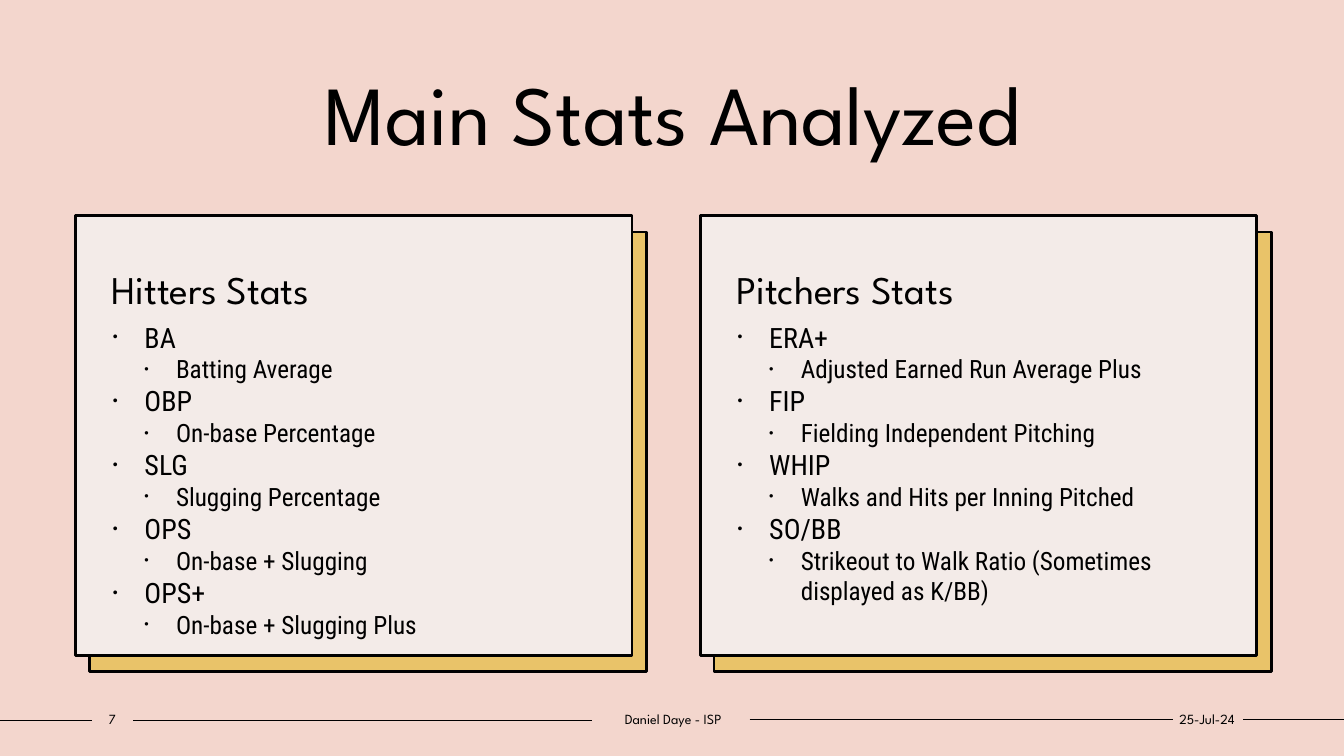
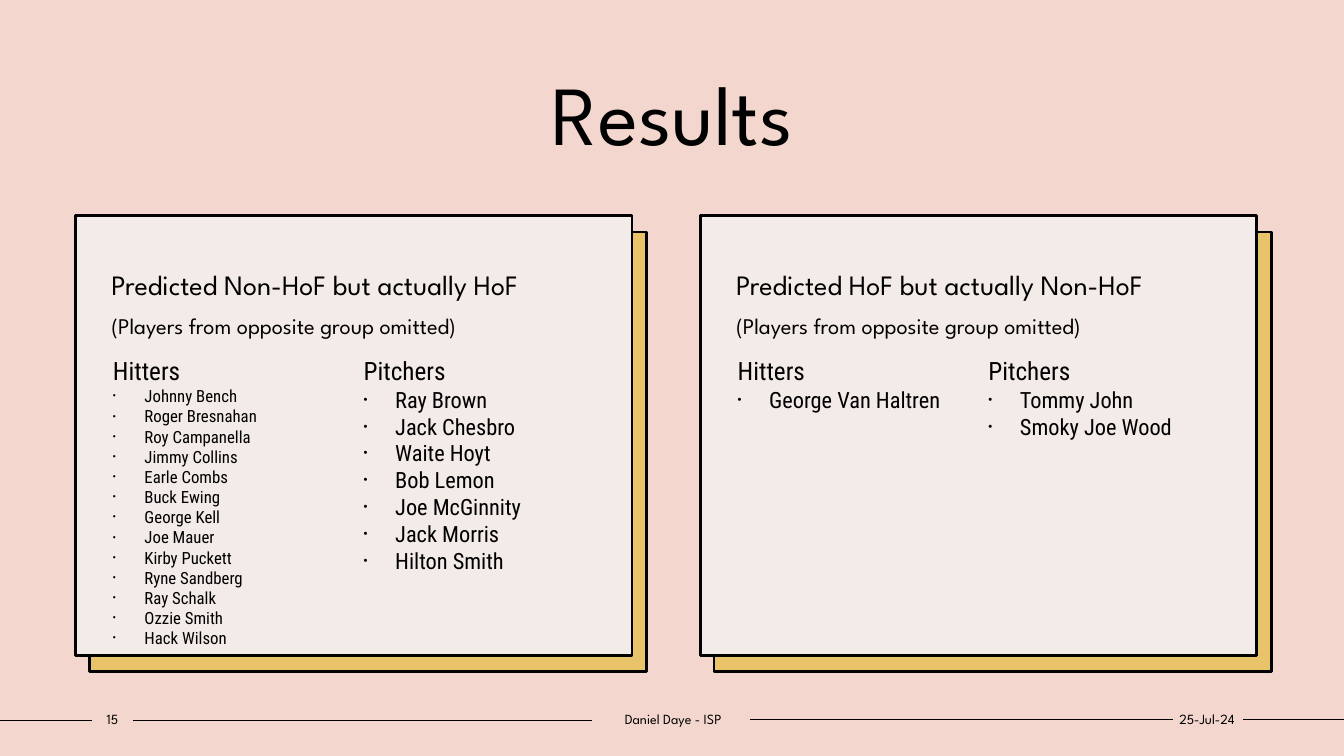
from dataclasses import dataclass

from lxml.etree import SubElement
from pptx import Presentation
from pptx.dml.color import RGBColor
from pptx.enum.shapes import MSO_CONNECTOR as Connector, MSO_SHAPE as Preset
from pptx.enum.text import MSO_ANCHOR as Anchor, MSO_AUTO_SIZE as AutoSize, PP_ALIGN as Align
from pptx.oxml.ns import qn
from pptx.util import Emu, Pt

EMU_PER_PX = 9525
COLOURS = {"background": "F3D6CD", "card": "F3EBE8", "shadow": "E9C369", "ink": "000000"}
DISPLAY, TEXT = "League Spartan", "Roboto Condensed"
COMPARISON_LAYOUT = 4
PANEL_STEP = 595
COLUMN_STEP = 239
LIST_INDENT = 30
SUBHEADING_HEIGHT = 34
COLUMN_HEADING = -1


@dataclass(frozen=True)
class Box:
    left: int
    top: int
    width: int
    height: int

    def moved(self, dx: int = 0, dy: int = 0) -> "Box":
        return Box(self.left + dx, self.top + dy, self.width, self.height)

    def emu(self) -> tuple[Emu, ...]:
        return tuple(px(n) for n in (self.left, self.top, self.width, self.height))


@dataclass(frozen=True)
class Line:
    """A line of text; depth is its bullet level, or COLUMN_HEADING for no bullet."""
    text: str
    size: int
    depth: int = COLUMN_HEADING


@dataclass(frozen=True)
class Panel:
    headings: list[Line]
    columns: list[list[Line]]


@dataclass(frozen=True)
class Page:
    number: int
    title: str
    panels: list[Panel]


TITLE = Box(120, 54, 1041, 107)
CARD = Box(72, 205, 530, 419)
SHADOW = Box(85, 221, 531, 419)
FIRST_LIST = Box(98, 300, 484, 301)
PAGE_NUMBER = Box(88, 672, 38, 26)
AUTHOR = Box(564, 672, 154, 26)
DATE = Box(1116, 672, 67, 26)
FOOTER_RULES = [(0, 88, 686), (127, 564, 686), (714, 1117, 685), (1184, 1280, 685)]


def px(length: int) -> Emu:
    return Emu(length * EMU_PER_PX)


def colour(name: str) -> RGBColor:
    return RGBColor.from_string(COLOURS[name])


def stats(*pairs: tuple[str, str]) -> list[Line]:
    return [line for short, full in pairs for line in (Line(short, 20, 0), Line(full, 18, 1))]


def roster(role: str, size: int, *players: str) -> list[Line]:
    return [Line(role, 18), *(Line(player, size, 0) for player in players)]


def group(heading: str, *columns: list[Line]) -> Panel:
    note = Line("(Players from opposite group omitted)", 16)
    return Panel([Line(heading, 20), note], list(columns))


PAGES = [
    Page(7, "Main Stats Analyzed", [
        Panel([Line("Hitters Stats", 28)], [stats(
            ("BA", "Batting Average"),
            ("OBP", "On-base Percentage"),
            ("SLG", "Slugging Percentage"),
            ("OPS", "On-base + Slugging"),
            ("OPS+", "On-base + Slugging Plus"),
        )]),
        Panel([Line("Pitchers Stats", 28)], [stats(
            ("ERA+", "Adjusted Earned Run Average Plus"),
            ("FIP", "Fielding Independent Pitching"),
            ("WHIP", "Walks and Hits per Inning Pitched"),
            ("SO/BB", "Strikeout to Walk Ratio (Sometimes displayed as K/BB)"),
        )]),
    ]),
    Page(15, "Results", [
        group(
            "Predicted Non-HoF but actually HoF",
            roster("Hitters", 12, "Johnny Bench", "Roger Bresnahan", "Roy Campanella",
                   "Jimmy Collins", "Earle Combs", "Buck Ewing", "George Kell", "Joe Mauer",
                   "Kirby Puckett", "Ryne Sandberg", "Ray Schalk", "Ozzie Smith", "Hack Wilson"),
            roster("Pitchers", 16, "Ray Brown", "Jack Chesbro", "Waite Hoyt", "Bob Lemon",
                   "Joe McGinnity", "Jack Morris", "Hilton Smith"),
        ),
        group(
            "Predicted HoF but actually Non-HoF",
            roster("Hitters", 16, "George Van Haltren"),
            roster("Pitchers", 16, "Tommy John", "Smoky Joe Wood"),
        ),
    ]),
]


def place(shape, box: Box) -> None:
    shape.left, shape.top, shape.width, shape.height = box.emu()


def paint(shape, fill: str) -> None:
    shape.fill.solid()
    shape.fill.fore_color.rgb = colour(fill)
    shape.line.color.rgb = colour("ink")
    shape.line.width = Pt(2)


def set_bullet(paragraph, depth: int) -> None:
    properties = paragraph._p.get_or_add_pPr()
    if depth == COLUMN_HEADING:
        properties.set("marL", "0")
        properties.set("indent", "0")
        SubElement(properties, qn("a:buNone"))
        return
    paragraph.level = depth
    properties.set("marL", str(px(LIST_INDENT * (depth + 1))))
    properties.set("indent", str(px(-LIST_INDENT)))
    SubElement(properties, qn("a:buSzPct"), val="50000")
    SubElement(properties, qn("a:buFont"), typeface="Arial")
    SubElement(properties, qn("a:buChar"), char="•")


def write(shape, lines: list[Line], font: str, align=Align.LEFT, anchor=Anchor.TOP,
          spacing: float = 1.0, gap: int = 0) -> None:
    """Fill a shape with lines, leaving gap points between them."""
    frame = shape.text_frame
    frame.word_wrap = True
    frame.auto_size = AutoSize.NONE
    frame.vertical_anchor = anchor
    for index, line in enumerate(lines):
        paragraph = frame.add_paragraph() if index else frame.paragraphs[0]
        set_bullet(paragraph, line.depth)
        paragraph.text = line.text
        paragraph.alignment = align
        paragraph.line_spacing = spacing
        paragraph.space_before = Pt(gap if index else 0)
        paragraph.font.name = font
        paragraph.font.size = Pt(line.size)
        paragraph.font.bold = False
        paragraph.font.color.rgb = colour("ink")


def set_margins(shape, left: int, top: int, right: int, bottom: int) -> None:
    frame = shape.text_frame
    frame.margin_left, frame.margin_top = px(left), px(top)
    frame.margin_right, frame.margin_bottom = px(right), px(bottom)


def draw_footer(slide, number: int) -> None:
    for start, end, y in FOOTER_RULES:
        rule = slide.shapes.add_connector(Connector.STRAIGHT, px(start), px(y), px(end), px(y))
        rule.line.color.rgb = colour("ink")
        rule.line.width = Pt(1)
        SubElement(rule._element.spPr, qn("a:effectLst"))
    for box, text in ((PAGE_NUMBER, str(number)), (AUTHOR, "Daniel Daye - ISP"),
                      (DATE, "25-Jul-24")):
        label = slide.shapes.add_textbox(*box.emu())
        set_margins(label, 0, 5, 0, 5)
        write(label, [Line(text, 10)], DISPLAY, Align.CENTER, Anchor.MIDDLE)


def draw_panel(slide, panel: Panel, position: int) -> None:
    dx = position * PANEL_STEP
    shadow = slide.shapes.add_shape(Preset.RECTANGLE, *SHADOW.moved(dx).emu())
    shadow.shadow.inherit = False
    paint(shadow, "shadow")
    slide.shapes.title.element.addprevious(shadow.element)

    card = slide.placeholders[1 + 2 * position]
    place(card, CARD.moved(dx))
    paint(card, "card")
    set_margins(card, 34, 53, 10, 5)
    write(card, panel.headings, DISPLAY, spacing=0.9, gap=10)

    drop = SUBHEADING_HEIGHT * (len(panel.headings) - 1)
    width = COLUMN_STEP if len(panel.columns) > 1 else FIRST_LIST.width
    for index, lines in enumerate(panel.columns):
        box = Box(FIRST_LIST.left + dx + index * COLUMN_STEP, FIRST_LIST.top + drop,
                  width, FIRST_LIST.height - drop)
        if index:
            column = slide.shapes.add_textbox(*box.emu())
        else:
            column = slide.placeholders[2 + 2 * position]
            place(column, box)
        write(column, lines, TEXT)


def draw_page(deck, page: Page) -> None:
    slide = deck.slides.add_slide(deck.slide_layouts[COMPARISON_LAYOUT])
    title = slide.shapes.title
    place(title, TITLE)
    write(title, [Line(page.title, 60)], DISPLAY, Align.CENTER)
    for position, panel in enumerate(page.panels):
        draw_panel(slide, panel, position)
    draw_footer(slide, page.number)


def main() -> None:
    deck = Presentation()
    deck.slide_width, deck.slide_height = px(1280), px(720)
    backdrop = deck.slide_master.background.fill
    backdrop.solid()
    backdrop.fore_color.rgb = colour("background")
    for page in PAGES:
        draw_page(deck, page)
    deck.save("out.pptx")


if __name__ == "__main__":
    main()
